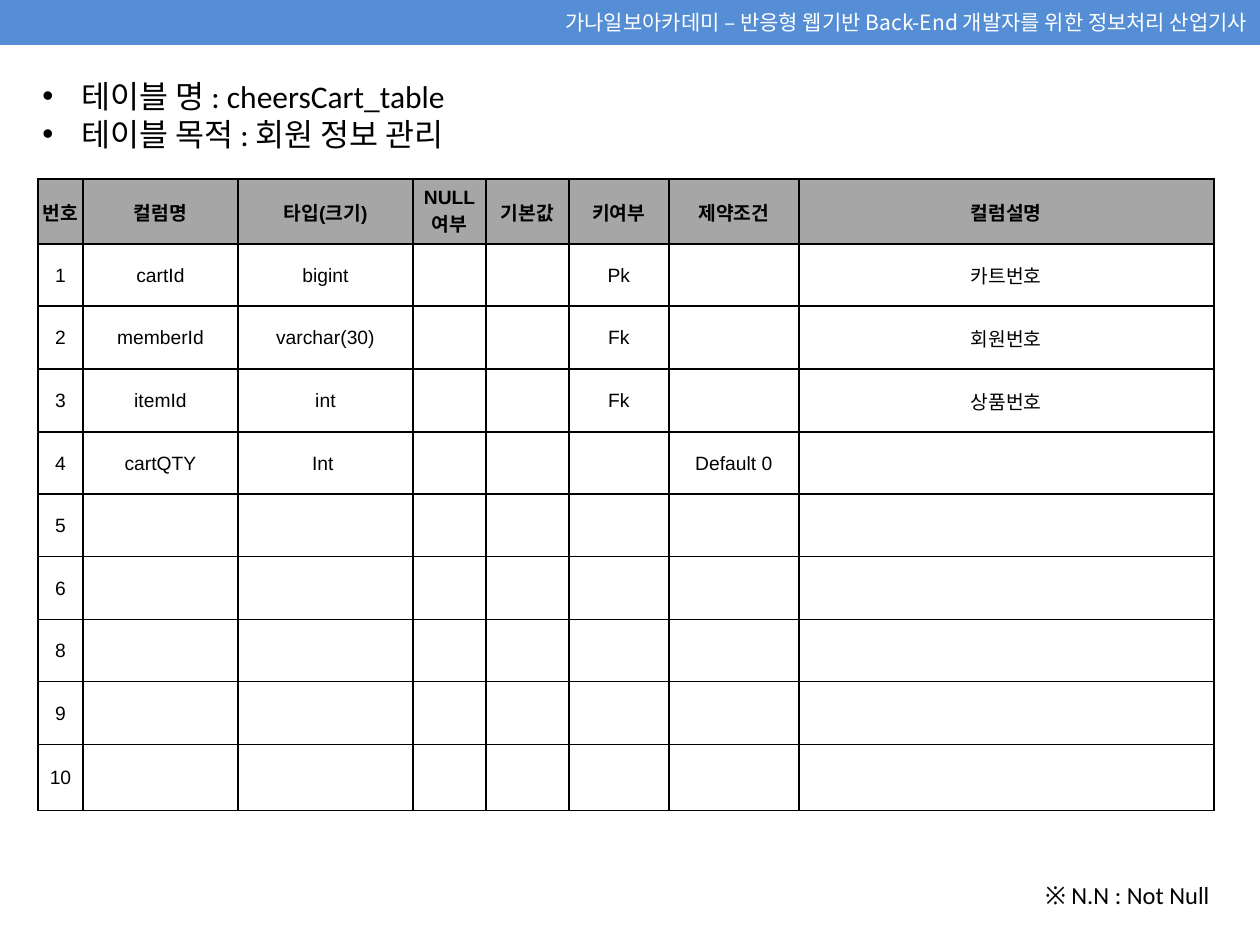
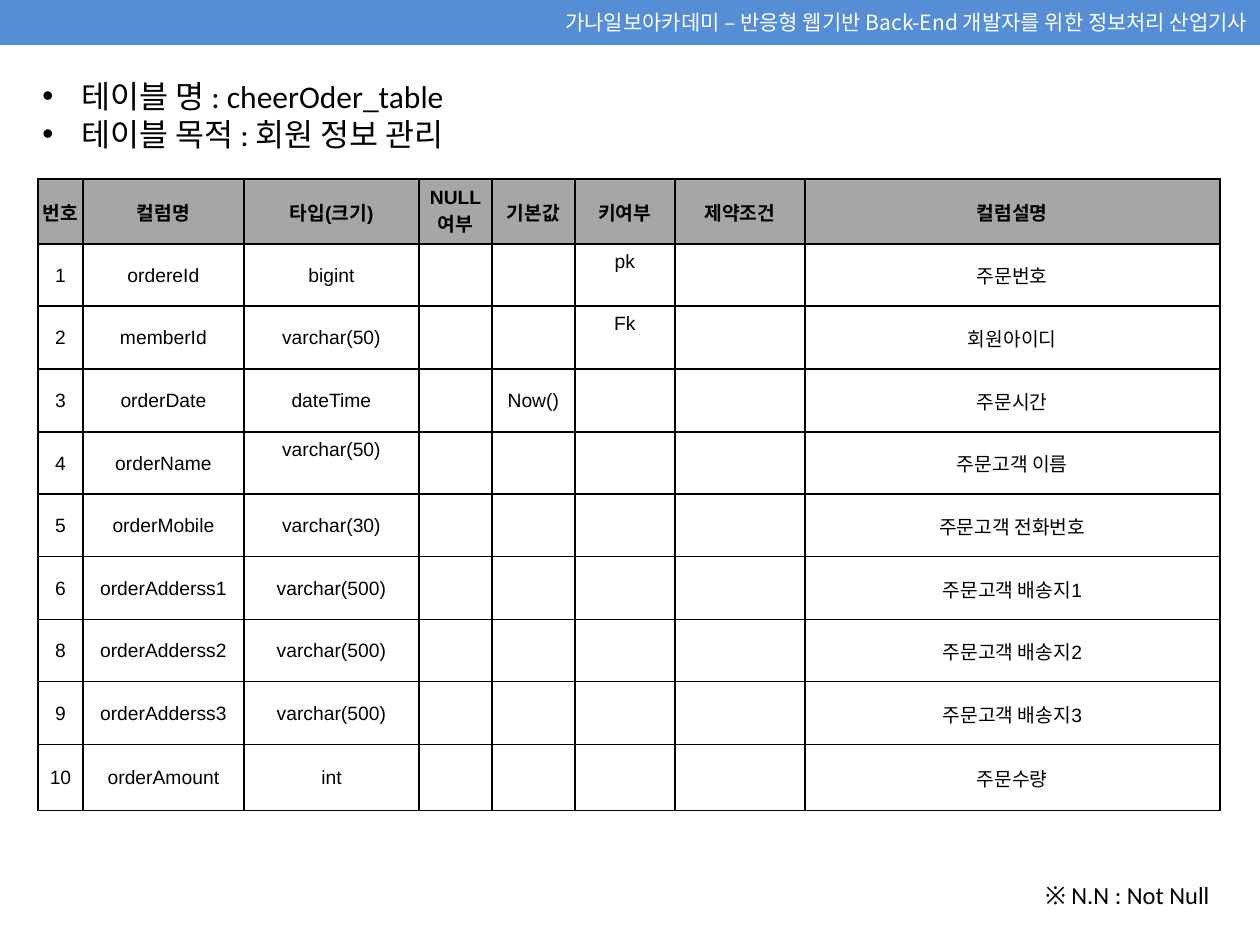
from lxml import etree
from pptx import Presentation
from pptx import util as u
from pptx.dml.color import RGBColor
from pptx.enum import shapes, text
from pptx.oxml.ns import qn

PX = 914400 // 126
WIDTH, HEIGHT = 1260, 945
BLUE, GREY, BLACK, WHITE = "558ED5", "A6A6A6", "000000", "FFFFFF"
KOREAN, BODY, TABLE = "Noto Sans CJK KR", "Calibri", "Arial"
LEFT, CENTER, RIGHT = text.PP_ALIGN.LEFT, text.PP_ALIGN.CENTER, text.PP_ALIGN.RIGHT

COURSE = "가나일보아카데미 – 반응형 웹기반 Back-End 개발자를 위한 정보처리 산업기사"
PURPOSE = "테이블 목적 : 회원 정보 관리"
NOTE = "※ N.N : Not Null"
HEADINGS = ["번호", "컬럼명", "타입(크기)", "NULL 여부", "기본값", "키여부", "제약조건", "컬럼설명"]
NUMBERS = [1, 2, 3, 4, 5, 6, 8, 9, 10]
TABLE_LEFT, TABLE_TOP = 38, 179
ROW_EDGES = [TABLE_TOP] + [244 + 188 * i // 3 for i in range(9)] + [811]
RAISED_MARGIN = 28


def px(n):
    return u.Emu(n * PX)


def rgb(value):
    return RGBColor.from_string(value)


class Deck:
    """Holds the shared style and the slide being drawn."""

    def __init__(self):
        self.prs = Presentation()
        self.prs.slide_width, self.prs.slide_height = px(WIDTH), px(HEIGHT)

    def new_slide(self):
        self.s = self.prs.slides.add_slide(self.prs.slide_layouts[6])

    def style(self, p, size, font, color=BLACK, align=LEFT, bold=False):
        p.alignment = align
        p.font.size, p.font.bold = u.Pt(size), bold
        p.font.color.rgb = rgb(color)
        p.font.name = font
        props = p._p.pPr.find(qn("a:defRPr"))
        etree.SubElement(props, qn("a:ea"), typeface=KOREAN)

    def band(self, title):
        sp = self.s.shapes.add_shape(shapes.MSO_SHAPE.RECTANGLE, 0, 0, px(WIDTH), px(45))
        sp.shadow.inherit = False
        sp.fill.solid()
        sp.fill.fore_color.rgb = rgb(BLUE)
        sp.line.fill.background()
        tf = sp.text_frame
        tf.vertical_anchor = text.MSO_ANCHOR.MIDDLE
        tf.text = title
        self.style(tf.paragraphs[0], 12, KOREAN, WHITE, RIGHT)

    def textbox(self, box, lines, size, align=LEFT, bullets=False):
        tf = self.s.shapes.add_textbox(*map(px, box)).text_frame
        tf.word_wrap = True
        tf.auto_size = text.MSO_AUTO_SIZE.SHAPE_TO_FIT_TEXT
        tf.text = "\n".join(lines)
        for p in tf.paragraphs:
            if bullets:
                props = p._p.get_or_add_pPr()
                props.set("marL", str(px(39)))
                props.set("indent", str(-px(39)))
                etree.SubElement(props, qn("a:buFont"), typeface="Arial")
                etree.SubElement(props, qn("a:buChar"), char="•")
            self.style(p, size, BODY, align=align)

    def borders(self, cell):
        props = cell._tc.get_or_add_tcPr()
        for side in ("lnL", "lnR", "lnT", "lnB"):
            ln = etree.SubElement(props, qn("a:" + side), w=str(u.Pt(1)))
            fill = etree.SubElement(ln, qn("a:solidFill"))
            etree.SubElement(fill, qn("a:srgbClr"), val=BLACK)

    def cell(self, cell, value, heading, raised):
        self.borders(cell)
        if heading:
            cell.fill.solid()
            cell.fill.fore_color.rgb = rgb(GREY)
        else:
            cell.fill.background()
        cell.margin_left = cell.margin_right = cell.margin_top = px(1)
        cell.margin_bottom = px(RAISED_MARGIN if raised else 0)
        cell.vertical_anchor = text.MSO_ANCHOR.MIDDLE
        cell.text = value
        self.style(cell.text_frame.paragraphs[0], 11, TABLE, align=CENTER, bold=heading)

    def table(self, name_width, records, raised):
        widths = [45, name_width, 175, 73, 83, 100, 130, 415]
        heights = [b - a for a, b in zip(ROW_EDGES, ROW_EDGES[1:])]
        rows = [HEADINGS] + [[str(n), *record] for n, record in zip(NUMBERS, records)]
        box = TABLE_LEFT, TABLE_TOP, sum(widths), sum(heights)
        table = self.s.shapes.add_table(len(rows), len(widths), *map(px, box)).table
        table.first_row = table.horz_banding = False
        for column, width in zip(table.columns, widths):
            column.width = px(width)
        for r, row in enumerate(rows):
            table.rows[r].height = px(heights[r])
            for c, value in enumerate(row):
                self.cell(table.cell(r, c), value, r == 0, (r, c) in raised)

    def table_slide(self, name, name_width, records, raised=()):
        self.new_slide()
        self.band(COURSE)
        self.textbox((30, 71, 1196, 89), [f"테이블 명 : {name}", PURPOSE], 18, bullets=True)
        self.table(name_width, records, raised)
        self.textbox((1027, 874, 195, 43), [NOTE], 14, align=RIGHT)


def record(name="", kind="", default="", key="", rule="", about=""):
    return [name, kind, "", default, key, rule, about]


cart = [
    record("cartId", "bigint", key="Pk", about="카트번호"),
    record("memberId", "varchar(30)", key="Fk", about="회원번호"),
    record("itemId", "int", key="Fk", about="상품번호"),
    record("cartQTY", "Int ", rule="Default 0"),
] + [record()] * 5

order = [
    record("ordereId", "bigint", key="pk", about="주문번호"),
    record("memberId", "varchar(50)", key="Fk", about="회원아이디"),
    record("orderDate", "dateTime", default="Now()", about="주문시간"),
    record("orderName", "varchar(50)", about="주문고객 이름"),
    record("orderMobile", "varchar(30)", about="주문고객 전화번호"),
    *[record(f"orderAdderss{i}", "varchar(500)", about=f"주문고객 배송지{i}") for i in (1, 2, 3)],
    record("orderAmount", "int", about="주문수량"),
]

deck = Deck()
deck.table_slide("cheersCart_table", 155, cart)
deck.table_slide("cheerOder_table", 161, order, raised={(1, 5), (2, 5), (4, 2)})
deck.prs.save("out.pptx")
